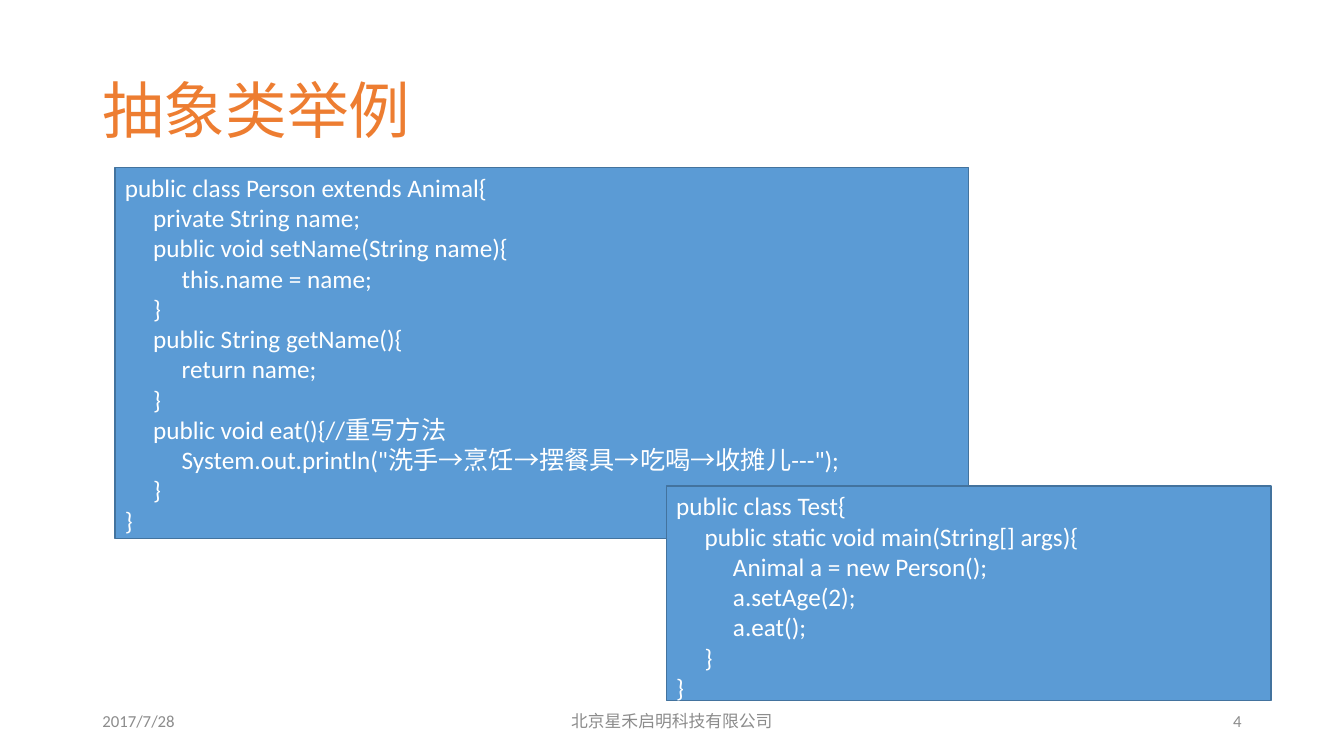
from dataclasses import dataclass

from lxml.etree import SubElement
from pptx import Presentation
from pptx.dml.color import RGBColor
from pptx.enum.shapes import MSO_SHAPE
from pptx.enum.text import MSO_ANCHOR, PP_ALIGN
from pptx.oxml.ns import qn
from pptx.slide import Slide
from pptx.text.text import TextFrame
from pptx.util import Emu, Inches, Pt

# Grid: 160 columns by 90 rows of square cells
COLUMNS, ROWS = 160, 90
CELL = Inches(1 / 12)


@dataclass(frozen=True)
class Theme:
    latin: str = "Calibri"
    chinese: str = "Noto Sans CJK SC"
    heading: RGBColor = RGBColor(0xED, 0x7D, 0x31)
    muted: RGBColor = RGBColor(0x8C, 0x8C, 0x8C)
    panel: RGBColor = RGBColor(0x5B, 0x9B, 0xD5)
    border: RGBColor = RGBColor(0x43, 0x73, 0x9E)
    code: RGBColor = RGBColor(0xFF, 0xFF, 0xFF)
    heading_size: int = 44
    code_size: int = 18
    footer_size: int = 12
    border_width: int = 1
    indent: Emu = Pt(20.3)


THEME = Theme()


@dataclass(frozen=True)
class Area:
    column: float
    row: float
    columns: float
    rows: float

    def box(self) -> tuple[Emu, ...]:
        cells = (self.column, self.row, self.columns, self.rows)
        return tuple(Emu(round(n * CELL)) for n in cells)


@dataclass(frozen=True)
class Label:
    area: Area
    text: str
    size: int
    color: RGBColor
    align: PP_ALIGN = PP_ALIGN.LEFT
    line_spacing: float = 1.0


@dataclass(frozen=True)
class CodeLine:
    depth: int
    text: str


@dataclass(frozen=True)
class Listing:
    area: Area
    lines: tuple[CodeLine, ...]


def add_line(frame: TextFrame, index: int, text: str, size: int,
             color: RGBColor, align: PP_ALIGN, depth: int = 0,
             spacing: float = 1.0) -> None:
    paragraph = frame.add_paragraph() if index else frame.paragraphs[0]
    paragraph.alignment = align
    paragraph.line_spacing = spacing
    if depth:
        paragraph._p.get_or_add_pPr().set("marL", str(depth * THEME.indent))
    run = paragraph.add_run()
    run.text = text
    run.font.size = Pt(size)
    run.font.color.rgb = color
    run.font.name = THEME.latin
    SubElement(run._r.get_or_add_rPr(), qn("a:ea"), typeface=THEME.chinese)


def draw_label(slide: Slide, label: Label) -> None:
    frame = slide.shapes.add_textbox(*label.area.box()).text_frame
    frame.word_wrap = True
    frame.vertical_anchor = MSO_ANCHOR.MIDDLE
    add_line(frame, 0, label.text, label.size, label.color, label.align,
             spacing=label.line_spacing)


def draw_listing(slide: Slide, listing: Listing) -> None:
    panel = slide.shapes.add_shape(MSO_SHAPE.RECTANGLE, *listing.area.box())
    panel.shadow.inherit = False
    panel.fill.solid()
    panel.fill.fore_color.rgb = THEME.panel
    panel.line.color.rgb = THEME.border
    panel.line.width = Pt(THEME.border_width)
    frame = panel.text_frame
    frame.word_wrap = True
    frame.vertical_anchor = MSO_ANCHOR.TOP
    for index, line in enumerate(listing.lines):
        add_line(frame, index, line.text, THEME.code_size, THEME.code,
                 PP_ALIGN.LEFT, line.depth)


# Heading
HEADING = Label(Area(11, 4.8, 104.28, 17.4), "抽象类举例",
                THEME.heading_size, THEME.heading, line_spacing=0.9)

# Footer: date, company, page number
FOOTER = tuple(
    Label(Area(column, 83.4, columns, 4.8), text,
          THEME.footer_size, THEME.muted, align)
    for column, columns, text, align in (
        (11, 36, "2017/7/28", PP_ALIGN.LEFT),
        (53, 54, "北京星禾启明科技有限公司", PP_ALIGN.CENTER),
        (113, 36, "4", PP_ALIGN.RIGHT),
    )
)

# Code listings
PERSON_CLASS = Listing(Area(13.68, 19.92, 101.64, 44.16), (
    CodeLine(0, "public class Person extends Animal{"),
    CodeLine(1, "private String name;"),
    CodeLine(1, "public void setName(String name){"),
    CodeLine(2, "this.name = name;"),
    CodeLine(1, "}"),
    CodeLine(1, "public String getName(){"),
    CodeLine(2, "return name;"),
    CodeLine(1, "}"),
    CodeLine(1, "public void eat(){//重写方法"),
    CodeLine(2, 'System.out.println("洗手→烹饪→摆餐具→吃喝→收摊儿---");'),
    CodeLine(1, "}"),
    CodeLine(0, "}"),
))
TEST_CLASS = Listing(Area(79.32, 57.84, 72, 25.56), (
    CodeLine(0, "public class Test{"),
    CodeLine(1, "public static void main(String[] args){"),
    CodeLine(2, "Animal a = new Person();"),
    CodeLine(2, "a.setAge(2);"),
    CodeLine(2, "a.eat();"),
    CodeLine(1, "}"),
    CodeLine(0, "}"),
))


def main() -> None:
    deck = Presentation()
    deck.slide_width = Emu(COLUMNS * CELL)
    deck.slide_height = Emu(ROWS * CELL)
    slide = deck.slides.add_slide(deck.slide_layouts[6])
    for label in (HEADING, *FOOTER):
        draw_label(slide, label)
    for listing in (PERSON_CLASS, TEST_CLASS):
        draw_listing(slide, listing)
    deck.save("out.pptx")


if __name__ == "__main__":
    main()
